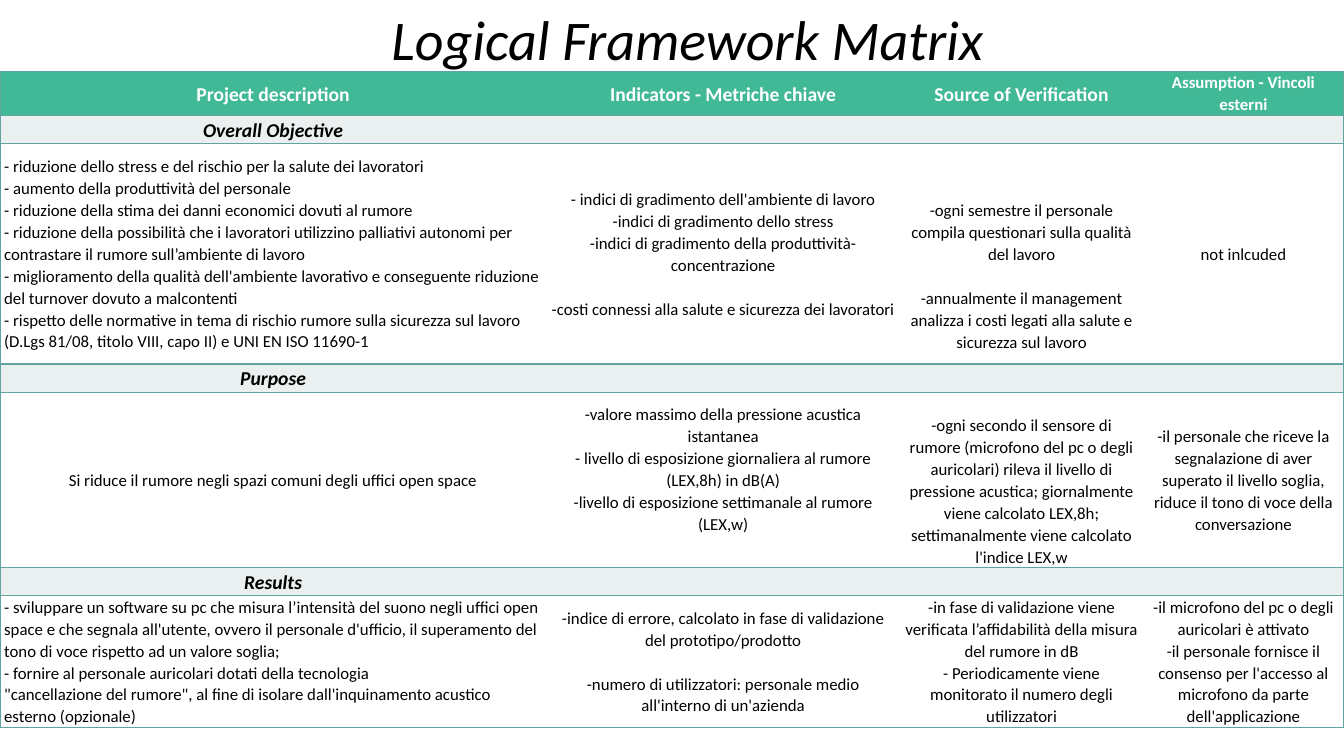
"""Build the Logical Framework Matrix slide."""
from dataclasses import dataclass
from typing import Optional

from lxml.etree import SubElement
from pptx import Presentation
from pptx.dml.color import RGBColor as Rgb
from pptx.enum.text import MSO_ANCHOR as Anchor, PP_ALIGN as Align
from pptx.oxml.ns import qn
from pptx.util import Pt


@dataclass(frozen=True)
class Theme:
    """Colours, font and type sizes of the slide."""
    font: str = "Calibri"
    header: str = "42B996"
    band: str = "EAF0F0"
    paper: str = "FFFFFF"
    rule: str = "62A39F"
    ink: str = "000000"
    title: float = 40
    heading: float = 14
    body: float = 12
    leading: float = 1.07
    line: float = 15.7


THEME = Theme()


@dataclass(frozen=True)
class Entry:
    """Text of one matrix cell, with gaps counted in body lines."""
    lines: tuple[str, ...] = ("",)
    align: Align = Align.CENTER
    gap_before: Optional[int] = None
    lines_above: int = 0
    lines_below: int = 0
    size: float = THEME.body


@dataclass(frozen=True)
class Row:
    """One matrix row and its look."""
    height: float
    entries: tuple[Entry, ...]
    fill: str = THEME.paper
    color: str = THEME.ink
    bold: bool = False
    italic: bool = False
    inset: float = 3


def band(label: str) -> Row:
    """Return a section row labelled in its first column."""
    blank = Entry(size=THEME.heading)
    return Row(20.2, (Entry((label,), size=THEME.heading), blank, blank, blank),
               fill=THEME.band, bold=True, italic=True)


COLUMN_WIDTHS = (390.2, 252.8, 173.5, 143.5)
MATRIX = (
    Row(31.6, (
        Entry(("Project description",), size=THEME.heading),
        Entry(("Indicators - Metriche chiave",), size=THEME.heading),
        Entry(("Source of Verification",), size=THEME.heading),
        Entry(("Assumption - Vincoli esterni",)),
    ), fill=THEME.header, color=THEME.paper, bold=True, inset=3.6),
    band("Overall Objective"),
    Row(157.2, (
        Entry((
            "- riduzione dello stress e del rischio per la salute dei lavoratori",
            "- aumento della produttività del personale",
            "- riduzione della stima dei danni economici dovuti al rumore",
            "- riduzione della possibilità che i lavoratori utilizzino palliativi autonomi per "
            "contrastare il rumore sull’ambiente di lavoro",
            "- miglioramento della qualità dell'ambiente lavorativo e conseguente riduzione "
            "del turnover dovuto a malcontenti",
            "- rispetto delle normative in tema di rischio rumore sulla sicurezza sul lavoro "
            "(D.Lgs 81/08, titolo VIII, capo II) e UNI EN ISO 11690-1",
        ), align=Align.LEFT),
        Entry((
            "- indici di gradimento dell'ambiente di lavoro",
            "-indici di gradimento dello stress",
            "-indici di gradimento della produttività-concentrazione",
            "-costi connessi alla salute e sicurezza dei lavoratori",
        ), gap_before=3),
        Entry((
            "-ogni semestre il personale compila questionari sulla qualità del lavoro",
            "-annualmente il management analizza i costi legati alla salute e sicurezza sul lavoro",
        ), gap_before=1, lines_above=2),
        Entry(("not inlcuded",)),
    )),
    band("Purpose"),
    Row(125.3, (
        Entry(("Si riduce il rumore negli spazi comuni degli uffici open space",)),
        Entry((
            "-valore massimo della pressione acustica istantanea",
            "- livello di esposizione giornaliera al rumore (LEX,8h) in dB(A)",
            "-livello di esposizione settimanale al rumore (LEX,w)",
        ), lines_below=1),
        Entry((
            "-ogni secondo il sensore di rumore (microfono del pc o degli auricolari) rileva il "
            "livello di pressione acustica; giornalmente viene calcolato LEX,8h; "
            "settimanalmente viene calcolato l'indice LEX,w",
        ), lines_above=1),
        Entry((
            "-il personale che riceve la segnalazione di aver superato il livello soglia, "
            "riduce il tono di voce della conversazione",
        )),
    )),
    band("Results"),
    Row(94, (
        Entry((
            "- sviluppare un software su pc che misura l’intensità del suono negli uffici open "
            "space e che segnala all'utente, ovvero il personale d'ufficio, il superamento del "
            "tono di voce rispetto ad un valore soglia;",
            "- fornire al personale auricolari dotati della tecnologia",
            "\"cancellazione del rumore\", al fine di isolare dall'inquinamento acustico "
            "esterno (opzionale)",
        ), align=Align.LEFT),
        Entry((
            "-indice di errore, calcolato in fase di validazione del prototipo/prodotto",
            "-numero di utilizzatori: personale medio all'interno di un'azienda",
        ), gap_before=1),
        Entry((
            "-in fase di validazione viene verificata l’affidabilità della misura del rumore in dB",
            "- Periodicamente viene monitorato il numero degli utilizzatori",
        )),
        Entry((
            "-il microfono del pc o degli auricolari è attivato",
            "-il personale fornisce il consenso per l'accesso al microfono da parte "
            "dell'applicazione",
        )),
    )),
)


def write(paragraph, text: str, *, size: float, color: str = THEME.ink, bold: bool = False,
          italic: bool = False, align: Align = Align.CENTER, leading: float = 1.0,
          before: float = 0) -> None:
    """Write formatted text into a paragraph."""
    paragraph.alignment = align
    paragraph.line_spacing = leading
    paragraph.space_before = Pt(before)
    if not text:
        SubElement(paragraph._p, qn("a:endParaRPr"), sz=str(int(size * 100)))
        return
    run = paragraph.add_run()
    run.text = text
    font = run.font
    font.name, font.size, font.bold, font.italic = THEME.font, Pt(size), bold, italic
    font.color.rgb = Rgb.from_string(color)


def rule_cell(cell, first: bool, last: bool) -> None:
    """Rule a cell above, below and at the outer sides of the matrix."""
    properties = cell._tc.get_or_add_tcPr()
    for side, ruled in (("L", first), ("R", last), ("T", True), ("B", True)):
        edge = SubElement(properties, qn(f"a:ln{side}"), w=str(Pt(1)))
        if ruled:
            SubElement(SubElement(edge, qn("a:solidFill")), qn("a:srgbClr"), val=THEME.rule)
        else:
            SubElement(edge, qn("a:noFill"))


def fill_cell(cell, entry: Entry, row: Row) -> None:
    """Fill a cell with its colour and text."""
    cell.fill.solid()
    cell.fill.fore_color.rgb = Rgb.from_string(row.fill)
    cell.vertical_anchor = Anchor.MIDDLE
    cell.margin_left = cell.margin_right = Pt(row.inset)
    cell.margin_top = Pt(entry.lines_above * THEME.line)
    cell.margin_bottom = Pt(entry.lines_below * THEME.line)
    frame = cell.text_frame
    for index, line in enumerate(entry.lines):
        paragraph = frame.add_paragraph() if index else frame.paragraphs[0]
        write(paragraph, line, size=entry.size, color=row.color, bold=row.bold,
              italic=row.italic, align=entry.align, leading=THEME.leading,
              before=THEME.line if index == entry.gap_before else 0)


def draw_matrix(slide) -> None:
    """Draw the framework matrix."""
    height = sum(row.height for row in MATRIX)
    matrix = slide.shapes.add_table(len(MATRIX), len(COLUMN_WIDTHS), Pt(0), Pt(51),
                                    Pt(sum(COLUMN_WIDTHS)), Pt(height)).table
    matrix.first_row = matrix.horz_banding = False
    for column, width in zip(matrix.columns, COLUMN_WIDTHS):
        column.width = Pt(width)
    for r, row in enumerate(MATRIX):
        matrix.rows[r].height = Pt(row.height)
        for c, entry in enumerate(row.entries):
            cell = matrix.cell(r, c)
            rule_cell(cell, c == 0, c == len(COLUMN_WIDTHS) - 1)
            fill_cell(cell, entry, row)


def main() -> None:
    """Build and save the slide."""
    deck = Presentation()
    deck.slide_width, deck.slide_height = Pt(960), Pt(540)
    slide = deck.slides.add_slide(deck.slide_layouts[6])
    draw_matrix(slide)
    heading = slide.shapes.add_textbox(Pt(270), Pt(0), Pt(442), Pt(55.5)).text_frame
    heading.word_wrap = False
    write(heading.paragraphs[0], "Logical Framework Matrix", size=THEME.title, italic=True)
    deck.save("out.pptx")


if __name__ == "__main__":
    main()
